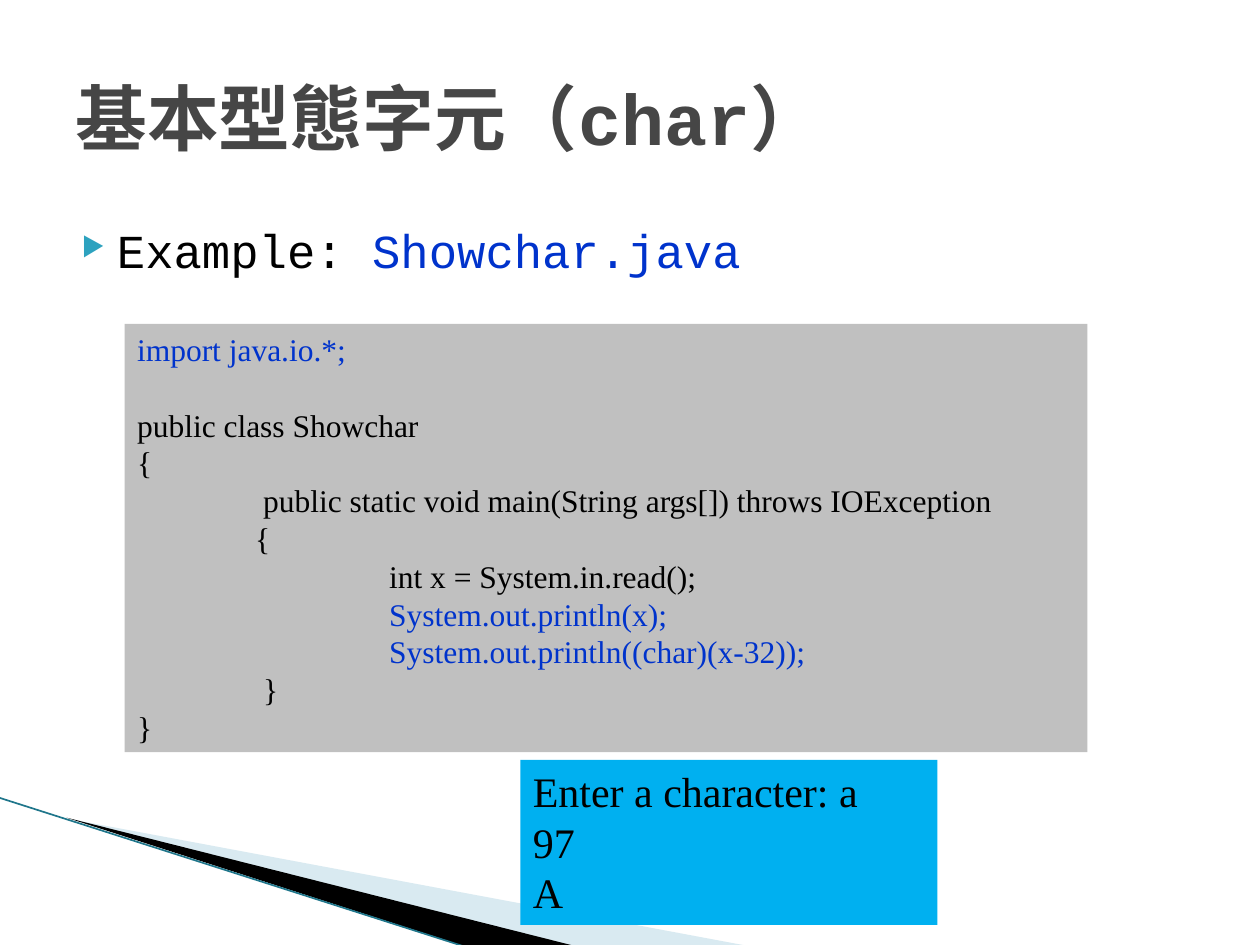
"""Build a slide on the Java char type with sample code and its output."""
from lxml import etree
from pptx import Presentation
from pptx.dml.color import RGBColor
from pptx.enum import shapes, text
from pptx.oxml import ns
from pptx.util import Inches, Pt

BLACK = RGBColor(0x00, 0x00, 0x00)
BLUE = RGBColor(0x00, 0x33, 0xCC)
SLATE = RGBColor(0x46, 0x46, 0x46)
GRAY = RGBColor(0xC0, 0xC0, 0xC0)
CYAN = RGBColor(0x00, 0xB0, 0xF0)
PALE = RGBColor(0xA0, 0xCB, 0xDC)
TEAL = RGBColor(0x1F, 0x76, 0x8B)
MONO, SERIF = "Courier New", "Times New Roman"


def add_tag(node, tag, **attrs):
    return etree.SubElement(node, ns.qn(tag), attrs)


def add_run(para, words, **style):
    run = para.add_run()
    run.text = words
    color = style.pop("color")
    for key, value in style.items():
        setattr(run.font, key, value)
    run.font.color.rgb = color


deck = Presentation()
deck.slide_width, deck.slide_height = Inches(10), Inches(7.5)
slide = deck.slides.add_slide(deck.slide_layouts[6])
pool = slide.shapes

wedges = [
    (PALE, [(55, 650), (595, 751), (456, 751)]),
    (BLACK, [(53, 649), (457, 751), (372, 752)]),
]
for color, points in wedges:
    pen = pool.build_freeform(*points[0], scale=Inches(0.01))
    pen.add_line_segments(points[1:], close=True)
    wedge = pen.convert_to_shape()
    wedge.shadow.inherit = False
    wedge.fill.solid()
    wedge.fill.fore_color.rgb = color
    wedge.line.fill.background()
    if color == PALE:
        tint = wedge.fill._xPr.find(ns.qn("a:solidFill"))[0]
        add_tag(tint, "a:alpha", val="40000")

edge = pool.add_connector(
    shapes.MSO_CONNECTOR.STRAIGHT,
    Inches(-0.01), Inches(6.33), Inches(3.71), Inches(7.52))
edge.line.color.rgb = TEAL
edge.line.width = Pt(0.95)
add_tag(edge._element.spPr, "a:effectLst")

topic = pool.add_textbox(Inches(0.43), Inches(1.71), Inches(9.32), Inches(0.58))
topic.text_frame.word_wrap = True
para = topic.text_frame.paragraphs[0]
props = para._p.get_or_add_pPr()
props.set("marL", str(Inches(0.4)))
props.set("indent", str(Inches(-0.28)))
add_tag(add_tag(props, "a:buClr"), "a:srgbClr", val="2DA2BF")
add_tag(props, "a:buSzPct", val="56000")
add_tag(props, "a:buChar", char="▶")
for words, color in [("Example: ", BLACK), ("Showchar.java", BLUE)]:
    add_run(para, words, size=Pt(27), name=MONO, color=color)

title = pool.add_textbox(Inches(0.5), Inches(0.3), Inches(9), Inches(1.25))
title.text_frame.word_wrap = True
title.text_frame.vertical_anchor = text.MSO_ANCHOR.MIDDLE
add_run(title.text_frame.paragraphs[0], "基本型態字元（char）",
        size=Pt(41), name=MONO, bold=True, color=SLATE)

code = [
    ("import java.io.*;", BLUE, 0),
    ("public class Showchar", BLACK, 21.6),
    ("{", BLACK, 0),
    ("\tpublic static void main(String args[]) throws IOException", BLACK, 0),
    ("               {", BLACK, 0),
    ("\t\tint x = System.in.read();", BLACK, 0),
    ("\t\tSystem.out.println(x);", BLUE, 0),
    ("\t\tSystem.out.println((char)(x-32));", BLUE, 0),
    ("\t}", BLACK, 0),
    ("}", BLACK, 0),
]
output = [(words, BLACK, 0) for words in ("Enter a character: a", "97", "A")]
panels = [
    ((0.99, 2.57, 7.64, 3.4), GRAY, 18, code),
    ((4.13, 6.03, 3.31, 1.31), CYAN, 24, output),
]
for place, fill, size, lines in panels:
    panel = pool.add_shape(shapes.MSO_SHAPE.RECTANGLE, *map(Inches, place))
    panel.shadow.inherit = False
    panel.fill.solid()
    panel.fill.fore_color.rgb = fill
    panel.line.fill.background()
    frame = panel.text_frame
    frame.word_wrap = True
    frame.vertical_anchor = text.MSO_ANCHOR.TOP
    for i, (words, color, gap) in enumerate(lines):
        para = frame.add_paragraph() if i else frame.paragraphs[0]
        para.alignment = text.PP_ALIGN.LEFT
        if gap:
            para.space_before = Pt(gap)
        if "\t" in words:
            stops = add_tag(para._p.get_or_add_pPr(), "a:tabLst")
            for stop in (1, 2):
                add_tag(stops, "a:tab", pos=str(Inches(stop)), algn="l")
        add_run(para, words, size=Pt(size), name=SERIF, color=color)

deck.save("out.pptx")
